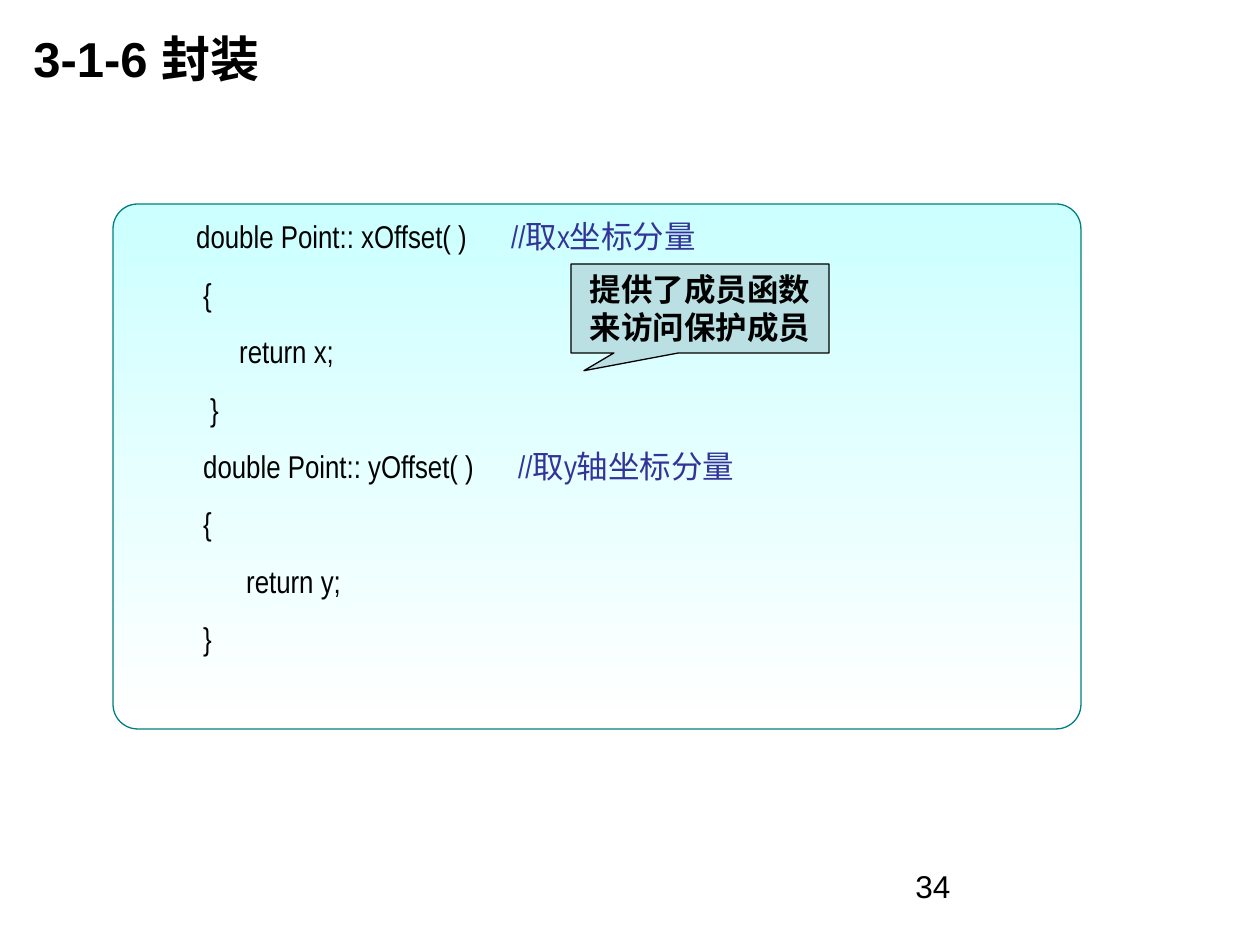
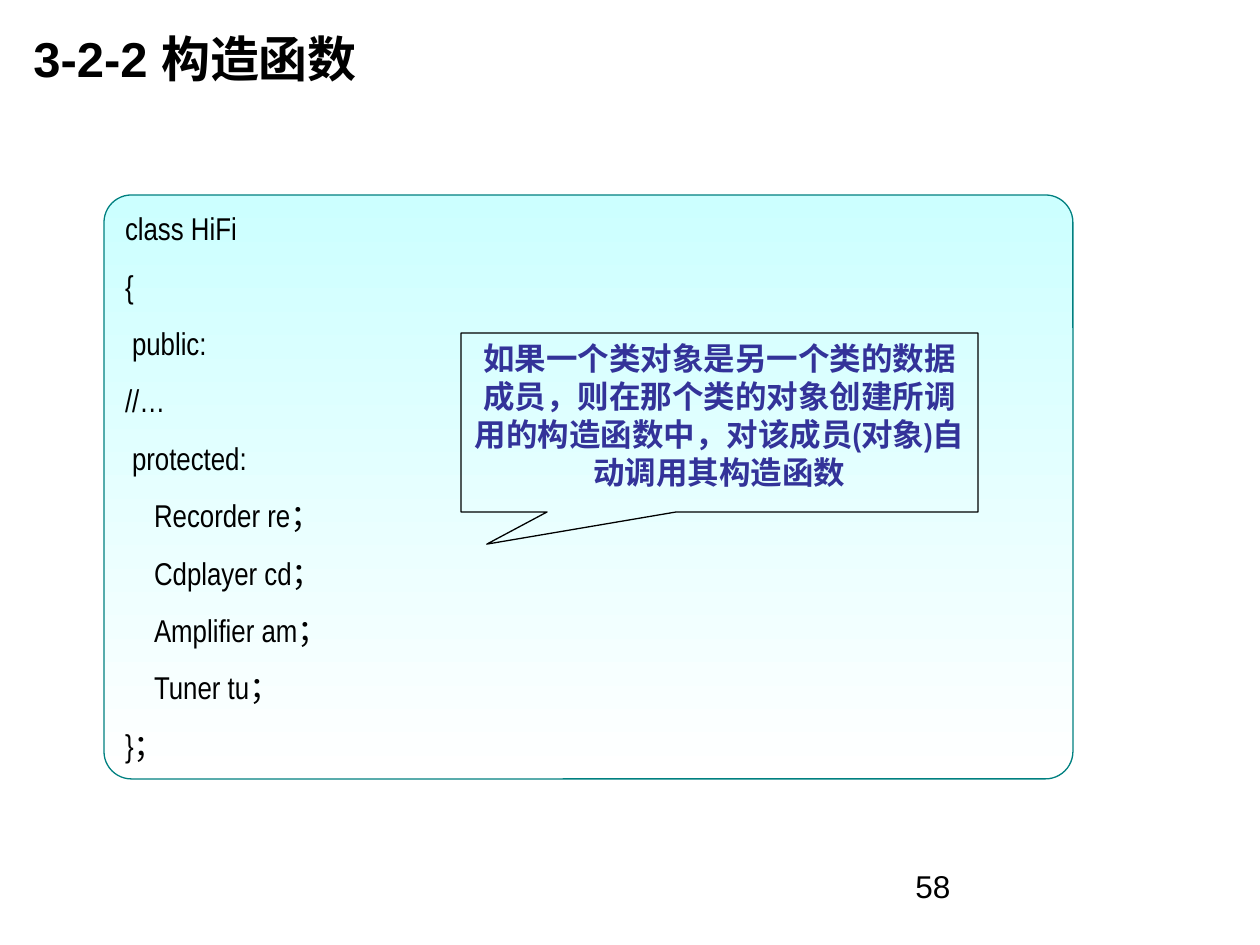
from pptx import Presentation
from pptx import util as u
from pptx.dml.color import RGBColor
from pptx.enum import shapes, text
from pptx.oxml.ns import qn
from lxml import etree

PX = 914400 // 126
SPACE = 7.2
COLORS = {
    "ink": "000000",
    "comment": "333399",
    "panel_top": "CCFFFF",
    "panel_bottom": "FFFFFF",
    "panel_edge": "008080",
    "callout": "BBE0E3",
}


def rgb(name):
    return RGBColor.from_string(COLORS[name])


def write(para, words, size=18, font="Arial", color="ink", bold=False,
          align=text.PP_ALIGN.LEFT, before=0, indent=0, tab=0):
    para.alignment = align
    para.space_before = u.Pt(before)
    props = para._p.get_or_add_pPr()
    props.set("marL", str(indent * PX))
    props.set("indent", "0")
    if tab:
        stops = etree.SubElement(props, qn("a:tabLst"))
        etree.SubElement(stops, qn("a:tab"), pos=str(tab * PX), algn="l")
    code, mark, comment = words.partition("\t")
    for part, part_color in ((code + mark, color), (comment, "comment")):
        if part:
            span = para.add_run()
            span.text = part
            span.font.size = u.Pt(size)
            span.font.name = font
            span.font.bold = bold
            span.font.color.rgb = rgb(part_color)


pages = [
    {
        "title": "3-1-6 封装",
        "number": "34",
        "panel": (113, 204, 968, 525),
        "code_inset": 76,
        "code": [
            (0, "double Point:: xOffset( )\t//取x坐标分量"),
            (1, "{"),
            (6, "return x;"),
            (2, "}"),
            (1, "double Point:: yOffset( )\t//取y轴坐标分量"),
            (1, "{"),
            (7, "return y;"),
            (1, "}"),
        ],
        "callout": (571, 264, 258, 89),
        "pointer": (-0.45, 0.7),
        "callout_fill": "callout",
        "callout_color": "ink",
        "callout_text": "提供了成员函数来访问保护成员",
    },
    {
        "title": "3-2-2 构造函数",
        "number": "58",
        "panel": (104, 195, 969, 584),
        "code_inset": 13,
        "code": [
            (0, "class HiFi"),
            (0, "{"),
            (1, "public:"),
            (0, "//…"),
            (1, "protected:"),
            (4, "Recorder re；"),
            (4, "Cdplayer cd；"),
            (4, "Amplifier am；"),
            (4, "Tuner tu；"),
            (0, "}；"),
        ],
        "callout": (461, 333, 517, 179),
        "pointer": (-0.45, 0.68),
        "callout_fill": None,
        "callout_color": "comment",
        "callout_text": "如果一个类对象是另一个类的数据成员，则在那个类的对象创建所调用的构造函数中，对该成员(对象)自动调用其构造函数",
    },
]

deck = Presentation()
deck.slide_width = u.Emu(1260 * PX)
deck.slide_height = u.Emu(945 * PX)

for content in pages:
    page = deck.slides.add_slide(deck.slide_layouts[6])

    title = page.shapes.add_textbox(*(n * PX for n in (21, 0, 945, 116)))
    title.text_frame.word_wrap = True
    title.text_frame.vertical_anchor = text.MSO_ANCHOR.MIDDLE
    write(title.text_frame.paragraphs[0], content["title"], size=28, bold=True)

    panel = page.shapes.add_shape(
        shapes.MSO_SHAPE.ROUNDED_RECTANGLE, *(n * PX for n in content["panel"]))
    panel.adjustments[0] = 0.047
    panel.fill.gradient()
    panel.fill.gradient_angle = 270
    for stop, place, name in zip(panel.fill.gradient_stops, (0, 1),
                                 ("panel_top", "panel_bottom")):
        stop.position = place
        stop.color.rgb = rgb(name)
    panel.line.color.rgb = rgb("panel_edge")

    callout = page.shapes.add_shape(
        shapes.MSO_SHAPE.RECTANGULAR_CALLOUT, *(n * PX for n in content["callout"]))
    callout.adjustments[0], callout.adjustments[1] = content["pointer"]
    if content["callout_fill"]:
        callout.fill.solid()
        callout.fill.fore_color.rgb = rgb(content["callout_fill"])
    else:
        callout.fill.background()
    callout.line.color.rgb = rgb("ink")

    for box in (panel, callout):
        box.shadow.inherit = False
        box.line.width = u.Pt(0.75)
        box.text_frame.word_wrap = True
        box.text_frame.vertical_anchor = text.MSO_ANCHOR.TOP

    panel.text_frame.margin_left = content["code_inset"] * PX
    for row, (spaces, words) in enumerate(content["code"]):
        para = panel.text_frame.add_paragraph() if row else panel.text_frame.paragraphs[0]
        write(para, words, font="Arial Narrow", before=11.2,
              indent=round(spaces * SPACE), tab=292 if "\t" in words else 0)

    write(callout.text_frame.paragraphs[0], content["callout_text"],
          font="Arial Narrow", color=content["callout_color"], bold=True,
          align=text.PP_ALIGN.CENTER, before=11.2)

    number = page.shapes.add_textbox(*(n * PX for n in (903, 861, 294, 66)))
    number.text_frame.word_wrap = True
    write(number.text_frame.paragraphs[0], content["number"])

deck.save("out.pptx")
